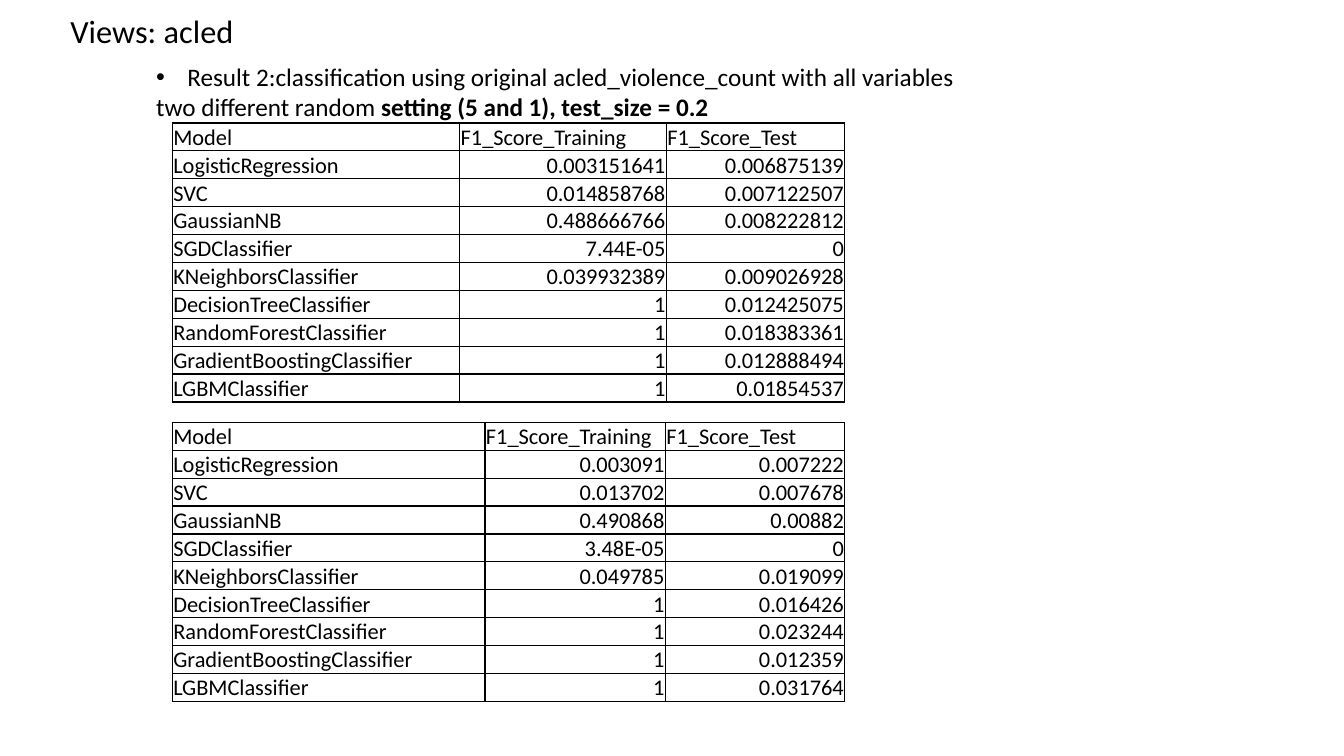
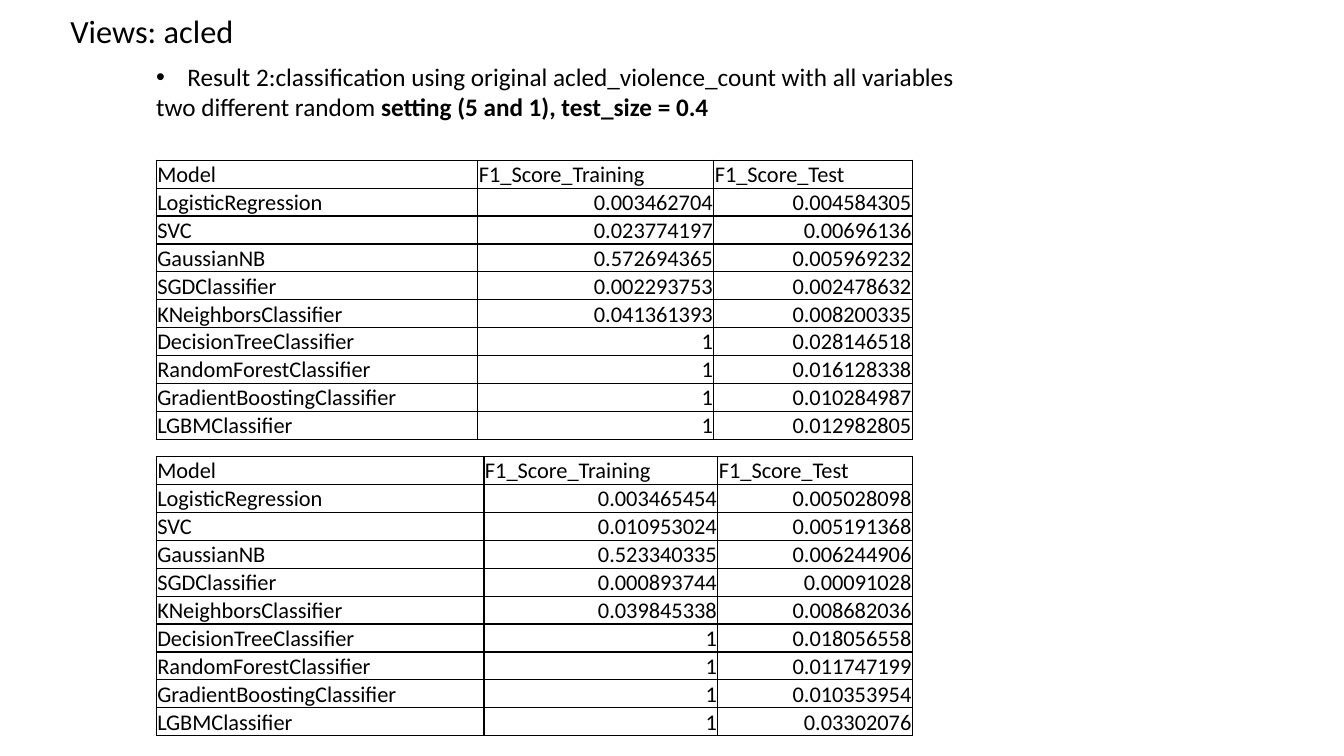
from dataclasses import dataclass

from lxml.etree import SubElement
from pptx import Presentation
from pptx.dml.color import RGBColor
from pptx.enum.text import MSO_ANCHOR, PP_ALIGN
from pptx.oxml.ns import qn
from pptx.util import Inches, Pt


@dataclass(frozen=True)
class Theme:
    font: str = "Calibri"
    ink: str = "000000"
    title: float = 23.1
    body: float = 18
    cell: float = 16
    border: float = 1


T = Theme()
HEADER = ("Model", "F1_Score_Training", "F1_Score_Test")
MODELS = (
    "LogisticRegression", "SVC", "GaussianNB", "SGDClassifier",
    "KNeighborsClassifier", "DecisionTreeClassifier",
    "RandomForestClassifier", "GradientBoostingClassifier", "LGBMClassifier",
)
TABLE_H = 2.75

# Each slide: test size, table left, and tables as (top, column widths, training, test)
SLIDES = [
    ("0.2", 1.71, [
        (1.22, (2.85, 2.05, 1.77),
         "0.003151641 0.014858768 0.488666766 7.44E-05 0.039932389 1 1 1 1",
         "0.006875139 0.007122507 0.008222812 0 0.009026928 "
         "0.012425075 0.018383361 0.012888494 0.01854537"),
        (4.19, (3.1, 1.79, 1.78),
         "0.003091 0.013702 0.490868 3.48E-05 0.049785 1 1 1 1",
         "0.007222 0.007678 0.00882 0 0.019099 "
         "0.016426 0.023244 0.012359 0.031764"),
    ]),
    ("0.4", 1.55, [
        (1.59, (3.19, 2.34, 1.97),
         "0.003462704 0.023774197 0.572694365 0.002293753 0.041361393 1 1 1 1",
         "0.004584305 0.00696136 0.005969232 0.002478632 0.008200335 "
         "0.028146518 0.016128338 0.010284987 0.012982805"),
        (4.53, (3.25, 2.32, 1.93),
         "0.003465454 0.010953024 0.523340335 0.000893744 0.039845338 1 1 1 1",
         "0.005028098 0.005191368 0.006244906 0.00091028 0.008682036 "
         "0.018056558 0.011747199 0.010353954 0.03302076"),
    ]),
]


def add_run(p, text, size, bold=False):
    r = p.add_run()
    r.text = text
    r.font.name = T.font
    r.font.size = Pt(size)
    r.font.bold = bold
    r.font.color.rgb = RGBColor.from_string(T.ink)


def set_borders(cell):
    tcPr = cell._tc.get_or_add_tcPr()
    for side in ("a:lnL", "a:lnR", "a:lnT", "a:lnB"):
        ln = SubElement(tcPr, qn(side), w=str(Pt(T.border)))
        SubElement(SubElement(ln, qn("a:solidFill")), qn("a:srgbClr"), val=T.ink)


prs = Presentation()
prs.slide_width, prs.slide_height = Inches(13.33), Inches(7.5)

for test_size, left, tables in SLIDES:
    s = prs.slides.add_slide(prs.slide_layouts[6])

    # Title
    tf = s.shapes.add_textbox(Inches(0.6), Inches(0.15), Inches(12.14), Inches(0.41)).text_frame
    tf.word_wrap = True
    tf.vertical_anchor = MSO_ANCHOR.MIDDLE
    p = tf.paragraphs[0]
    p.line_spacing = 0.7
    add_run(p, "Views: acled", T.title)

    # Bullet and the line below it, aligned with the bullet sign
    tf = s.shapes.add_textbox(Inches(0.45), Inches(0.56), Inches(12.29), Inches(1.31)).text_frame
    tf.word_wrap = True
    p = tf.paragraphs[0]
    pPr = p._p.get_or_add_pPr()
    pPr.set("marL", str(Inches(1.31)))
    pPr.set("indent", str(Inches(-0.31)))
    SubElement(pPr, qn("a:buFont"), typeface="Arial")
    SubElement(pPr, qn("a:buChar"), char="•")
    add_run(p, "Result 2:classification using original acled_violence_count with all variables", T.body)
    p = tf.add_paragraph()
    p._p.get_or_add_pPr().set("marL", str(Inches(1)))
    add_run(p, "two different random ", T.body)
    add_run(p, f"setting (5 and 1), test_size = {test_size}", T.body, bold=True)

    # Score tables
    for top, widths, training, test in tables:
        rows = [HEADER, *zip(MODELS, training.split(), test.split())]
        tbl = s.shapes.add_table(len(rows), len(HEADER), Inches(left), Inches(top),
                                 Inches(sum(widths)), Inches(TABLE_H)).table
        tbl.first_row = tbl.horz_banding = False
        for col, width in zip(tbl.columns, widths):
            col.width = Inches(width)
        for i, row in enumerate(rows):
            for j, text in enumerate(row):
                cell = tbl.cell(i, j)
                cell.margin_left = cell.margin_right = cell.margin_top = Inches(0.01)
                cell.margin_bottom = 0
                cell.vertical_anchor = MSO_ANCHOR.BOTTOM
                set_borders(cell)
                cell.fill.background()
                p = cell.text_frame.paragraphs[0]
                p.alignment = PP_ALIGN.RIGHT if i and j else PP_ALIGN.LEFT
                add_run(p, text, T.cell)

prs.save("out.pptx")
